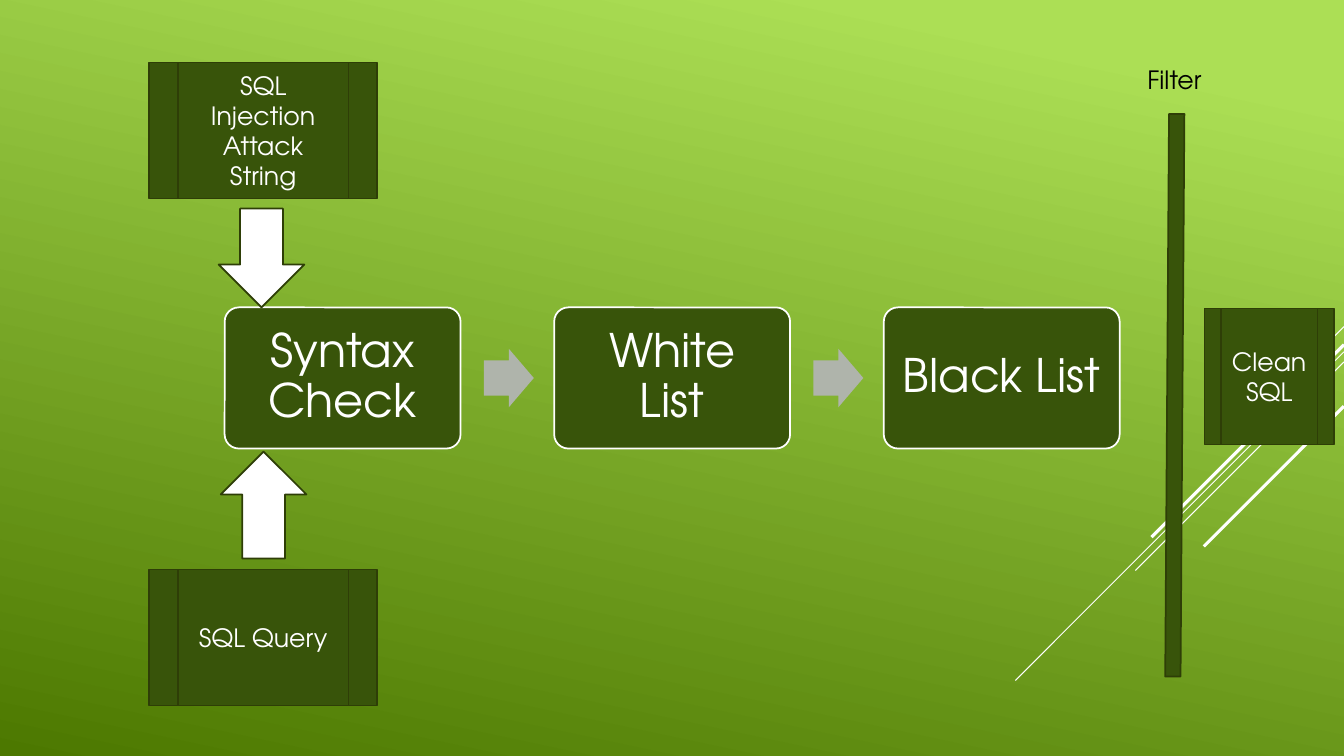
from typing import NamedTuple, Optional

from lxml.etree import SubElement
from pptx import Presentation
from pptx.dml.color import RGBColor
from pptx.enum.shapes import MSO_CONNECTOR, MSO_SHAPE
from pptx.enum.text import MSO_ANCHOR, PP_ALIGN
from pptx.oxml.ns import qn
from pptx.util import Pt

FONT = "TeX Gyre Adventor"
WHITE, BLACK, GREEN, EDGE, GREY = "FFFFFF", "000000", "38540A", "2E3E07", "AFB4AB"
SLIDE_W, SLIDE_H = 960, 540


class Box(NamedTuple):
    kind: MSO_SHAPE
    x: float
    y: float
    w: float
    h: float
    fill: str = GREEN
    line: Optional[str] = EDGE
    adj: tuple = ()


class Ray(NamedTuple):
    y: float
    run: float
    weight: float


def rgb(value: str) -> RGBColor:
    return RGBColor.from_string(value)


def write(sp, text: str, *, size: float = 18, color: str = WHITE,
          spacing: float = 1, inset: Optional[float] = None,
          anchor=MSO_ANCHOR.MIDDLE) -> None:
    tf = sp.text_frame
    tf.word_wrap = True
    tf.vertical_anchor = anchor
    if inset is not None:
        tf.margin_left = tf.margin_right = Pt(inset)
        tf.margin_top = tf.margin_bottom = Pt(inset)
    p = tf.paragraphs[0]
    p.alignment = PP_ALIGN.CENTER
    p.line_spacing = spacing
    r = p.add_run()
    r.text = text
    r.font.name = FONT
    r.font.size = Pt(size)
    r.font.color.rgb = rgb(color)


def draw_box(slide, box: Box):
    sp = slide.shapes.add_shape(box.kind, Pt(box.x), Pt(box.y), Pt(box.w), Pt(box.h))
    sp.shadow.inherit = False
    for i, value in enumerate(box.adj):
        sp.adjustments[i] = value
    sp.fill.solid()
    sp.fill.fore_color.rgb = rgb(box.fill)
    if box.line:
        sp.line.color.rgb = rgb(box.line)
        sp.line.width = Pt(1.25)
    else:
        sp.line.fill.background()
    return sp


def draw_ray(slide, ray: Ray) -> None:
    """Draw a 45-degree line down and left from the right edge."""
    line = slide.shapes.add_connector(
        MSO_CONNECTOR.STRAIGHT, Pt(SLIDE_W), Pt(ray.y),
        Pt(SLIDE_W - ray.run), Pt(ray.y + ray.run))
    line.line.color.rgb = rgb(WHITE)
    line.line.width = Pt(ray.weight)
    SubElement(line._element.spPr, qn("a:effectLst"))


prs = Presentation()
prs.slide_width, prs.slide_height = Pt(SLIDE_W), Pt(SLIDE_H)
slide = prs.slides.add_slide(prs.slide_layouts[6])

# Background gradient
fill = slide.background.fill
fill.gradient()
fill.gradient_angle = 360 - 102
for stop, (position, color) in zip(fill.gradient_stops, [(0.1, "ACDF55"), (1, "4C7800")]):
    stop.position = position
    stop.color.rgb = rgb(color)

# Diagonal decoration
for ray in [Ray(233.3, 72, 0.75), Ray(251.3, 234.7, 0.75), Ray(258.5, 149, 0.75),
            Ray(246.2, 137.5, 2.25), Ray(290.2, 100.1, 2.25)]:
    draw_ray(slide, ray)

# Checking steps, with an arrow before each later one
STEP_X, STEP_PITCH, ARROW_GAP = 160.5, 235.4, 50.3
for i, name in enumerate(["Syntax Check", "White List", "Black List"]):
    x = STEP_X + i * STEP_PITCH
    if i:
        draw_box(slide, Box(MSO_SHAPE.RIGHT_ARROW, x - ARROW_GAP, 249.1, 35.7, 41.8,
                            GREY, None, (0.6, 0.5)))
    step = draw_box(slide, Box(MSO_SHAPE.ROUNDED_RECTANGLE, x, 219.6, 168.5, 100.8,
                               GREEN, WHITE, (0.1,)))
    write(step, name, size=33, spacing=0.9, inset=10)

# Inputs and output
for name, x, y, w in [("SQL Injection Attack String", 106.6, 44.6, 162.7),
                      ("SQL Query", 106.6, 406.8, 162.7),
                      ("Clean SQL", 860.4, 220.3, 92.2)]:
    write(draw_box(slide, Box(MSO_SHAPE.FLOWCHART_PREDEFINED_PROCESS, x, y, w, 97.2)), name)

# Input arrows and filter bar
for box in [Box(MSO_SHAPE.UP_ARROW, 157.7, 322.6, 61.2, 76.3, WHITE),
            Box(MSO_SHAPE.DOWN_ARROW, 156.2, 149, 61.2, 70.6, WHITE),
            Box(MSO_SHAPE.FLOWCHART_DATA, 832.3, 81.4, 13.7, 401.8)]:
    draw_box(slide, box)

# Filter label
label = slide.shapes.add_textbox(Pt(758.2), Pt(42.5), Pt(161.3), Pt(28.8))
write(label, "Filter", color=BLACK, anchor=MSO_ANCHOR.TOP)

prs.save("out.pptx")
